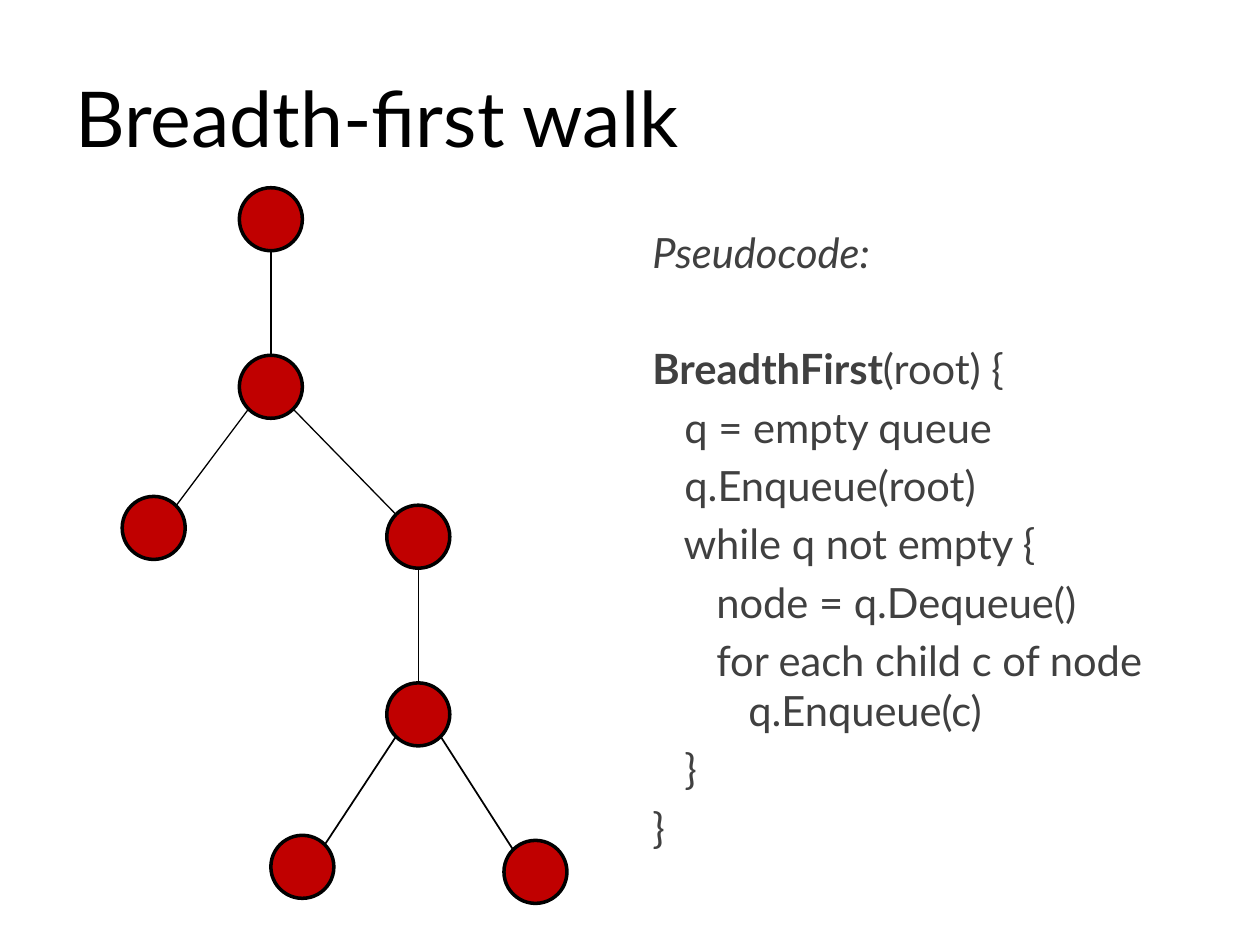
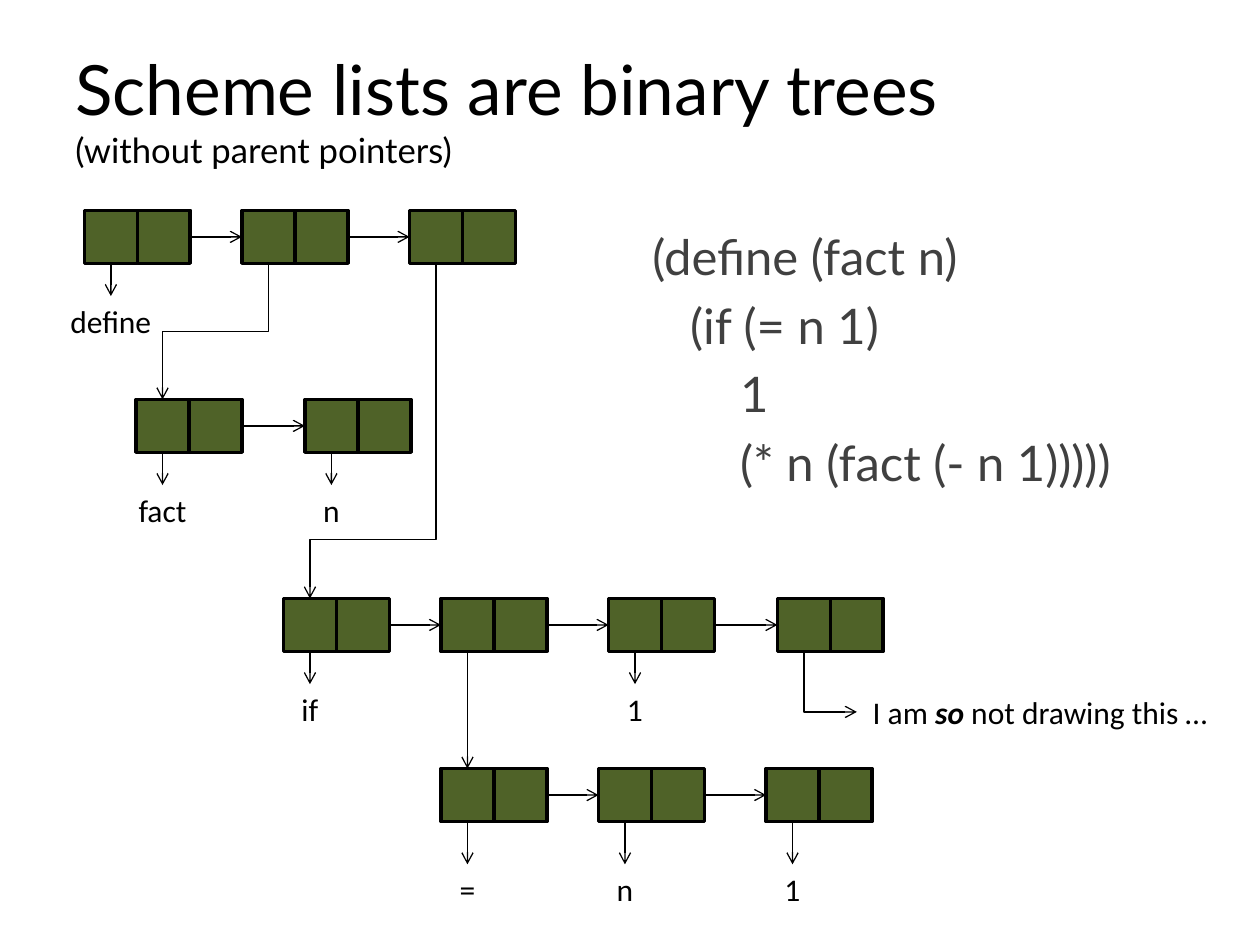
import pptx
import pptx.dml.color
import pptx.enum.shapes
import pptx.enum.text
import pptx.oxml.ns
import pptx.util
from lxml import etree

Inches = pptx.util.Inches
Pt = pptx.util.Pt
qn = pptx.oxml.ns.qn
color = pptx.dml.color.RGBColor.from_string
SHAPE = pptx.enum.shapes.MSO_SHAPE
CONNECTOR = pptx.enum.shapes.MSO_CONNECTOR
ALIGN = pptx.enum.text.PP_ALIGN
ANCHOR = pptx.enum.text.MSO_ANCHOR

BLACK, GRAY, RED, GREEN = "000000", "404040", "C00000", "4F6228"
TITLE = dict(size=44, anchor=ANCHOR.MIDDLE)
CODE = dict(size=28, ink=GRAY)
LABEL = dict(size=18, font="Calibri", align=ALIGN.CENTER, wrap=False)


def add_text(slide, paragraphs, left, top, width, height, size=18, font="Lato", ink=BLACK,
             align=ALIGN.LEFT, anchor=ANCHOR.TOP, wrap=True, gaps=None):
    frame = slide.shapes.add_textbox(Inches(left), Inches(top), Inches(width), Inches(height)).text_frame
    frame.word_wrap = wrap
    frame.vertical_anchor = anchor
    for index, runs in enumerate(paragraphs):
        paragraph = frame.paragraphs[0] if index == 0 else frame.add_paragraph()
        paragraph.alignment = align
        paragraph.space_before = Pt((gaps or {}).get(index, 0.2 * size) if index else 0)
        for text, style in [(runs, {})] if isinstance(runs, str) else runs:
            for line_number, line in enumerate(text.split("\n")):
                if line_number:
                    paragraph.add_line_break()
                if not line:
                    continue
                run = paragraph.add_run()
                run.text = line
                run.font.name = font
                run.font.size = Pt(style.get("size", size))
                run.font.bold = style.get("bold", False)
                run.font.italic = style.get("italic", False)
                run.font.color.rgb = color(ink)


def add_line(slide, start, end, width=0.75, arrow=True, kind=CONNECTOR.STRAIGHT):
    ends = [Inches(value) for value in (*start, *end)]
    connector = slide.shapes.add_connector(kind, *ends)
    connector.line.color.rgb = color(BLACK)
    connector.line.width = Pt(width)
    properties = connector._element.spPr
    if arrow:
        etree.SubElement(properties.find(qn("a:ln")), qn("a:tailEnd"), type="arrow")
    etree.SubElement(properties, qn("a:effectLst"))
    return connector


presentation = pptx.Presentation()
presentation.slide_width = Inches(10)
presentation.slide_height = Inches(7.5)
blank = presentation.slide_layouts[6]

slide = presentation.slides.add_slide(blank)
add_text(slide, ["Breadth-first walk"], 0.5, 0.3, 9, 1.25, **TITLE)
pseudocode = [
    [("Pseudocode:", {"italic": True})],
    [("BreadthFirst", {"bold": True}), ("(root) {", {})],
    "   q = empty queue",
    "   q.Enqueue(root)",
    "   while q not empty {",
    "      node = q.Dequeue()",
    "      for each child c of node\n         q.Enqueue(c)",
    "   }",
    "}",
]
add_text(slide, pseudocode, 5.08, 1.75, 4.42, 4.95, **{**CODE, "size": 23.8}, gaps={1: 38})

radius, diagonal = 0.25, 0.18
nodes = [(2.15, 1.74), (2.15, 3.07), (1.22, 4.19), (3.32, 4.26), (3.32, 5.67), (2.4, 6.88), (4.25, 6.92)]
edges = [(0, 1, 0.75), (1, 2, 0.75), (1, 3, 0.75), (3, 4, 0.75), (4, 5, 1), (4, 6, 1)]
for x, y in nodes:
    shape = slide.shapes.add_shape(SHAPE.OVAL, Inches(x - radius), Inches(y - radius),
                                   Inches(2 * radius), Inches(2 * radius))
    shape.shadow.inherit = False
    shape.fill.solid()
    shape.fill.fore_color.rgb = color(RED)
    shape.line.color.rgb = color(BLACK)
    shape.line.width = Pt(2)
for parent, child, width in edges:
    (x1, y1), (x2, y2) = nodes[parent], nodes[child]
    side = (x2 > x1) - (x2 < x1)
    drop = diagonal if side else radius
    add_line(slide, (x1 + side * diagonal, y1 + drop), (x2 - side * diagonal, y2 - drop), width, arrow=False)

slide = presentation.slides.add_slide(blank)
heading = [[("Scheme lists are binary trees\n", {}), ("(without parent pointers)", {"size": 19.8})]]
add_text(slide, heading, 0.5, 0.3, 9, 1.12, **{**TITLE, "size": 39.6})
scheme = ["(define (fact n)", "   (if (= n 1)", "       1", "       (* n (fact (- n 1)))))"]
add_text(slide, scheme, 5.08, 1.75, 4.42, 2.67, **CODE)

cell = 0.42
lists = [
    (1.67, 0.26, [(0.67, "define"), (1.92, None), (3.25, None)]),
    (3.17, 0.26, [(1.08, "fact"), (2.42, "n")]),
    (4.75, 0.26, [(2.25, "if"), (3.5, None), (4.83, "1"), (6.17, None)]),
    (6.1, 0.34, [(3.5, "="), (4.75, "n"), (6.08, "1")]),
]
for top, drop, pairs in lists:
    bottom = top + cell
    for index, (left, label) in enumerate(pairs):
        group = slide.shapes.add_group_shape()
        for column in range(2):
            shape = group.shapes.add_shape(SHAPE.RECTANGLE, Inches(left + column * cell), Inches(top),
                                           Inches(cell), Inches(cell))
            shape.shadow.inherit = False
            shape.fill.solid()
            shape.fill.fore_color.rgb = color(GREEN)
            shape.line.color.rgb = color(BLACK)
            shape.line.width = Pt(2)
        if index:
            middle = top + cell / 2
            add_line(slide, (pairs[index - 1][0] + 2 * cell, middle), (left, middle))
        if label:
            center = left + cell / 2
            add_line(slide, (center, bottom), (center, bottom + drop))
            add_text(slide, [label], center - 0.43, bottom + drop, 0.86, 0.4, **LABEL)

add_line(slide, (3.71, 5.17), (3.71, 6.1))
elbows = [
    ((2.13, 2.09), (1.29, 3.17), "bentConnector3", 50000),
    ((3.46, 2.09), (2.46, 4.75), "bentConnector3", 82400),
    ((6.38, 5.17), (6.8, 5.65), "bentConnector2", None),
]
for (x1, y1), (x2, y2), preset, bend in elbows:
    center_x, center_y = (x1 + x2) / 2, (y1 + y2) / 2
    turn = 1 if x2 < x1 else -1
    half_width, half_height = turn * (y2 - y1) / 2, abs(x2 - x1) / 2
    connector = add_line(slide, (center_x - half_width, center_y - half_height),
                         (center_x + half_width, center_y + half_height), kind=CONNECTOR.ELBOW)
    properties = connector._element.spPr
    properties.find(qn("a:xfrm")).set("rot", str(turn * 90 % 360 * 60000))
    geometry = properties.find(qn("a:prstGeom"))
    geometry.set("prst", preset)
    if bend:
        etree.SubElement(geometry.find(qn("a:avLst")), qn("a:gd"), name="adj1", fmla=f"val {bend}")

remark = [[("I am ", {}), ("so", {"bold": True, "italic": True}), (" not drawing this …", {})]]
add_text(slide, remark, 6.8, 5.45, 2.91, 0.4, **LABEL)

presentation.save("out.pptx")
